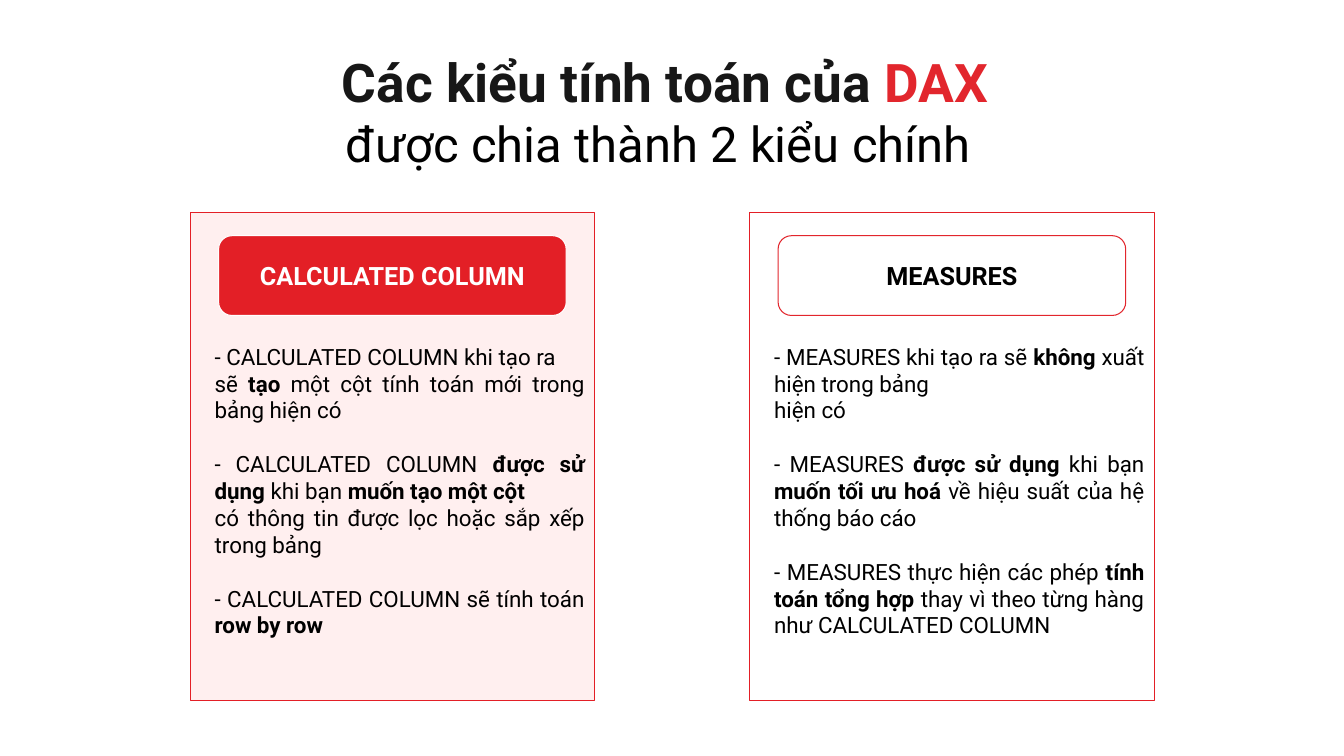
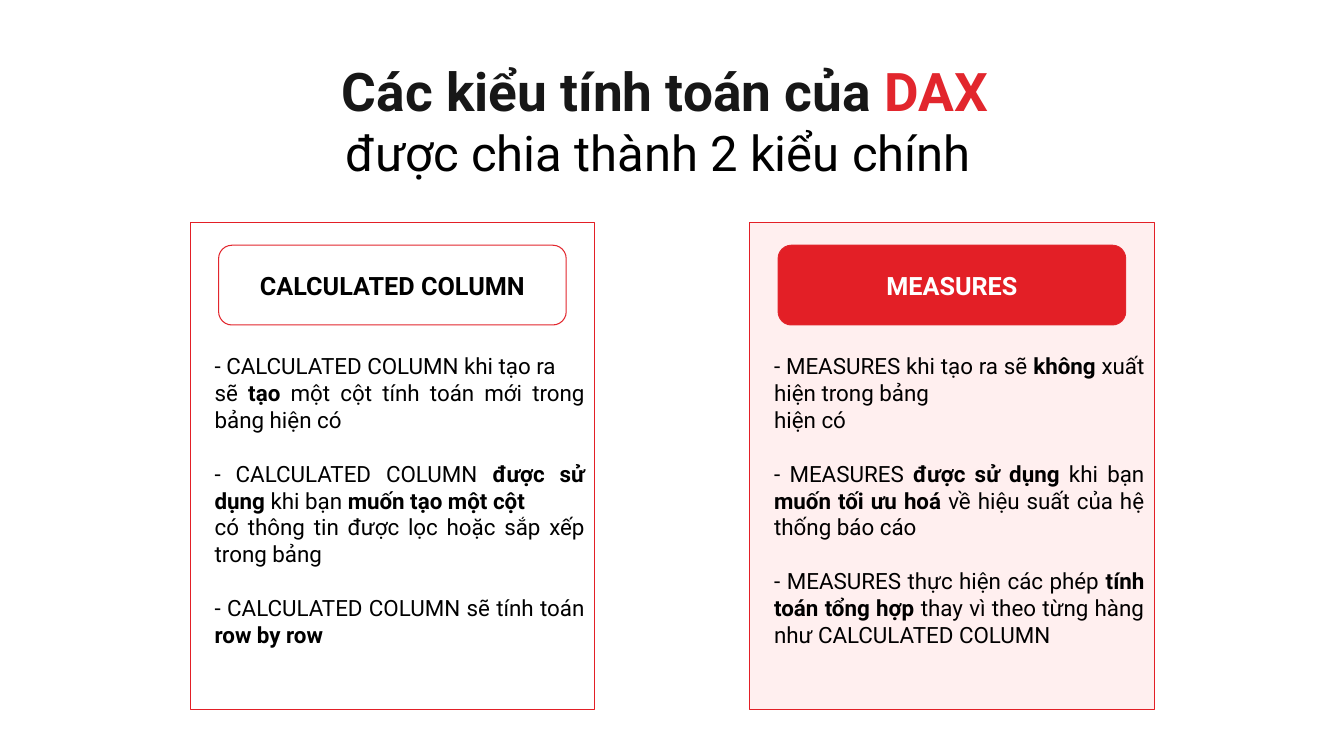
from pptx import Presentation
from pptx.dml.color import RGBColor
from pptx.enum.shapes import MSO_SHAPE as Shape
from pptx.enum.text import MSO_ANCHOR as Anchor, MSO_AUTO_SIZE as AutoSize, PP_ALIGN as Align
from pptx.util import Cm, Pt

COLORS = {
    "red": "E31F26",
    "accent": "E2262D",
    "pink": "FFEFEF",
    "white": "FFFFFF",
    "ink": "171717",
    "black": "000000",
}
FONT = "Roboto"

CARD_LEFT, CARD_TOP, CARD_STEP = 4.8, 5.36, 14.1
CARD_SIZE = (10.19, 12.29)
BODY_GAP = Pt(19.2)

# Each point is a list of paragraphs; ** switches bold on and off.
CARDS = [
    {
        "name": "CALCULATED COLUMN",
        "body_height": 7.77,
        "points": [
            ["- CALCULATED COLUMN khi tạo ra",
             "sẽ **tạo** một cột tính toán mới trong bảng hiện có"],
            ["- CALCULATED COLUMN **được sử dụng** khi bạn **muốn tạo một cột**",
             "có thông tin được lọc hoặc sắp xếp trong bảng"],
            ["- CALCULATED COLUMN sẽ tính toán **row by row**"],
        ],
    },
    {
        "name": "MEASURES",
        "body_height": 8.46,
        "points": [
            ["- MEASURES khi tạo ra sẽ **không** xuất hiện trong bảng",
             "hiện có"],
            ["- MEASURES **được sử dụng** khi bạn **muốn tối ưu hoá** "
             "về hiệu suất của hệ thống báo cáo"],
            ["- MEASURES thực hiện các phép **tính toán tổng hợp** "
             "thay vì theo từng hàng như CALCULATED COLUMN"],
        ],
    },
]

# Vertical shift of the whole page, highlighted card, outline of its badge
PAGES = [
    {"shift": 0, "active": 0, "outline": "white"},
    {"shift": 0.24, "active": 1, "outline": "accent"},
]


def rgb(name):
    return RGBColor.from_string(COLORS[name])


def set_attributes(target, values):
    for name, value in values.items():
        setattr(target, name, value)


def add_span(para, text, size, color="black", bold=False):
    span = para.add_run()
    span.text = text
    set_attributes(span.font, {"name": FONT, "size": Pt(size), "bold": bold})
    span.font.color.rgb = rgb(color)


def set_frame(frame, insets, **values):
    """Insets are left, top, right and bottom in cm."""
    sides = ("margin_left", "margin_top", "margin_right", "margin_bottom")
    set_attributes(frame, {side: Cm(inset) for side, inset in zip(sides, insets)})
    set_attributes(frame, {"word_wrap": True, **values})


def add_panel(page, kind, left, top, size, fill, line):
    panel = page.shapes.add_shape(kind, Cm(left), Cm(top), *map(Cm, size))
    panel.shadow.inherit = False
    panel.fill.solid()
    panel.fill.fore_color.rgb = rgb(fill)
    panel.line.color.rgb = rgb(line)
    panel.line.width = Pt(0.75)
    return panel


def add_title(page, shift):
    box = page.shapes.add_textbox(Cm(4.98), Cm(0.91 + shift), Cm(23.9), Cm(4.09))
    frame = box.text_frame
    set_frame(frame, (0.33, 0.33, 0.99, 0.33))
    heading, subtitle = frame.paragraphs[0], frame.add_paragraph()
    for para in (heading, subtitle):
        para.alignment = Align.CENTER
    # The heading sits slightly to the right of the subtitle's centre
    heading._p.get_or_add_pPr().set("marL", str(Cm(0.33)))
    add_span(heading, "Các kiểu tính toán của", 38, "ink", True)
    add_span(heading, " DAX", 38, "accent", True)
    add_span(subtitle, "được chia thành 2 kiểu chính", 35)


def add_badge(page, left, top, text, fill, line, color):
    badge = add_panel(page, Shape.ROUNDED_RECTANGLE, left, top, (8.76, 2.01), fill, line)
    frame = badge.text_frame
    set_frame(frame, (0.25,) * 4, vertical_anchor=Anchor.MIDDLE)
    para = frame.paragraphs[0]
    para.alignment = Align.CENTER
    add_span(para, text, 18, color, True)


def add_body(page, left, top, height, points):
    box = page.shapes.add_textbox(Cm(left), Cm(top), Cm(9.83), Cm(height))
    frame = box.text_frame
    set_frame(frame, (0.25, 0.13, 0.25, 0.13), auto_size=AutoSize.SHAPE_TO_FIT_TEXT)
    for point_index, point in enumerate(points):
        for line_index, text in enumerate(point):
            first = point_index == line_index == 0
            para = frame.paragraphs[0] if first else frame.add_paragraph()
            para.alignment = Align.JUSTIFY
            if point_index and not line_index:
                para.space_before = BODY_GAP
            for part_index, part in enumerate(text.split("**")):
                if part:
                    add_span(para, part, 16, bold=part_index % 2 == 1)


def add_card(page, card, left, top, active, outline):
    add_panel(page, Shape.RECTANGLE, left, top, CARD_SIZE,
              "pink" if active else "white", "red")
    fill, line, color = ("red", outline, "white") if active else ("white", "accent", "black")
    add_badge(page, left + 0.71, top + 0.58, card["name"], fill, line, color)
    add_body(page, left + 0.36, top + 3.15, card["body_height"], card["points"])


def main():
    deck = Presentation()
    set_attributes(deck, {"slide_width": Cm(33.87), "slide_height": Cm(19.05)})
    for settings in PAGES:
        page = deck.slides.add_slide(deck.slide_layouts[6])
        add_title(page, settings["shift"])
        for index, card in enumerate(CARDS):
            add_card(page, card, CARD_LEFT + index * CARD_STEP,
                     CARD_TOP + settings["shift"],
                     index == settings["active"], settings["outline"])
    deck.save("out.pptx")


if __name__ == "__main__":
    main()
